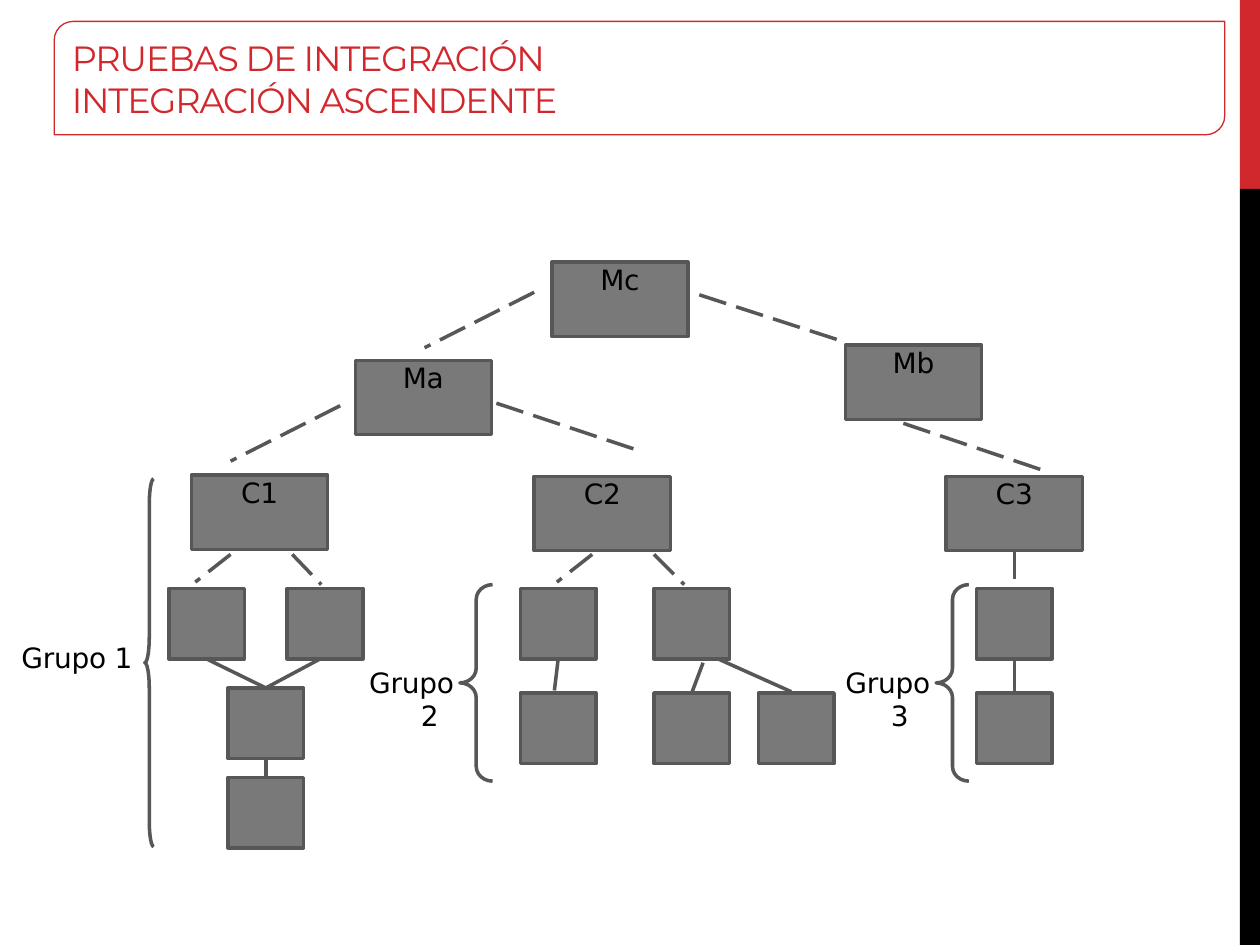
from math import dist
from lxml.etree import SubElement
from pptx import Presentation
from pptx.dml.color import RGBColor
from pptx.enum.dml import MSO_LINE
from pptx.enum.shapes import MSO_CONNECTOR, MSO_SHAPE
from pptx.enum.text import MSO_ANCHOR, PP_ALIGN
from pptx.oxml.ns import qn
from pptx.util import Inches, Pt

theme = dict(red="D1282D", black="000000", gray="797979", edge="575757",
             head="Montserrat", body="DejaVu Sans", big=20, text=16,
             thin=0.75, thick=2)

title = "PRUEBAS DE INTEGRACIÓN INTEGRACIÓN ASCENDENTE"
bars = [(0, 1.5, "red"), (1.5, 6, "black")]
nodes = [("Mc", 4.38, 2.08), ("Ma", 2.82, 2.86), ("Mb", 6.71, 2.74),
         ("C1", 1.52, 3.77), ("C2", 4.24, 3.78), ("C3", 7.51, 3.78)]
rows = {4.67: [1.34, 2.28, 4.13, 5.19, 7.75],
        5.5: [4.13, 5.19, 6.02, 7.75],
        5.46: [1.81],
        6.17: [1.81]}
dashed = [(4.24, 2.32, 3.37, 2.76), (5.55, 2.34, 6.66, 2.7),
          (2.7, 3.22, 1.83, 3.66), (3.94, 3.2, 5.05, 3.57),
          (7.17, 3.36, 8.27, 3.73), (1.83, 4.4, 1.55, 4.62),
          (4.7, 4.4, 4.42, 4.62), (8.05, 4.4, 8.05, 4.67),
          (2.32, 4.4, 2.55, 4.64), (5.19, 4.4, 5.43, 4.64)]
solid = [(1.66, 5.23, 2.1, 5.43), (2.54, 5.23, 2.1, 5.43),
         (2.08, 6.01, 2.12, 6.16), (4.4, 5.24, 4.4, 5.48),
         (5.58, 5.26, 5.48, 5.48), (5.7, 5.23, 6.28, 5.49),
         (8.05, 5.23, 8.05, 5.49)]
braces = [(1.15, 3.8, 0.07, 2.92, 2.9), (3.65, 4.64, 0.26, 1.56, 0.45),
          (7.43, 4.64, 0.26, 1.56, 0.45)]
groups = [(0.16, 5.08, 0.98, 0.25, [("Grupo 1", 0.01)]),
          (2.92, 5.28, 0.75, 0.52, [("Grupo", 0.01), ("2", 0.42)]),
          (6.7, 5.28, 0.75, 0.52, [("Grupo", 0.01), ("3", 0.37)])]
wide, high = 1.08, 0.59
side, tall = 0.6, 0.56
near = 0.035

deck = Presentation()
deck.slide_width, deck.slide_height = Inches(10), Inches(7.5)
slide = deck.slides.add_slide(deck.slide_layouts[6])
shapes = slide.shapes
ports = []


def color(name):
    return RGBColor.from_string(theme[name])


def write(shape, lines, font="body", size="text", tint="black",
          align=PP_ALIGN.LEFT, gap=-0.1):
    frame = shape.text_frame
    frame.word_wrap = True
    frame.vertical_anchor = MSO_ANCHOR.TOP
    frame.margin_left = frame.margin_right = 0
    frame.margin_top = frame.margin_bottom = 0
    for i, (text, dent) in enumerate(lines):
        para = frame.add_paragraph() if i else frame.paragraphs[0]
        para.alignment = align
        if dent:
            props = para._p.get_or_add_pPr()
            props.set("marL", str(Inches(dent)))
            props.set("indent", "0")
        run = para.add_run()
        run.text = text
        run.font.name = theme[font]
        run.font.size = Pt(theme[size])
        run.font.color.rgb = color(tint)
        run._r.get_or_add_rPr().set("spc", str(round(gap * 100)))


def draw(kind, x, y, w, h, fill=None, line=None, width="thick"):
    shape = shapes.add_shape(kind, Inches(x), Inches(y), Inches(w), Inches(h))
    shape.shadow.inherit = False
    if fill:
        shape.fill.solid()
        shape.fill.fore_color.rgb = color(fill)
    else:
        shape.fill.background()
    if line:
        shape.line.color.rgb = color(line)
        shape.line.width = Pt(theme[width])
    else:
        shape.line.fill.background()
    return shape


def box(x, y, w, h):
    shape = draw(MSO_SHAPE.RECTANGLE, x, y, w, h, "gray", "edge")
    mids = [(x + w / 2, y), (x, y + h / 2), (x + w / 2, y + h), (x + w, y + h / 2)]
    ports.extend((mid, shape, i) for i, mid in enumerate(mids))
    return shape


def link(x1, y1, x2, y2, dash=None):
    line = shapes.add_connector(MSO_CONNECTOR.STRAIGHT, Inches(x1), Inches(y1),
                                Inches(x2), Inches(y2))
    line.line.color.rgb = color("edge")
    line.line.width = Pt(theme["thick"])
    if dash:
        line.line.dash_style = dash
    SubElement(line._element.spPr, qn("a:effectLst"))
    for end, join in (((x1, y1), line.begin_connect), ((x2, y2), line.end_connect)):
        for mid, shape, i in ports:
            if dist(end, mid) < near:
                join(shape, i)


def label(x, y, w, h, lines, **style):
    area = shapes.add_textbox(Inches(x), Inches(y), Inches(w), Inches(h))
    write(area, lines, **style)


for y, h, fill in bars:
    draw(MSO_SHAPE.RECTANGLE, 9.84, y, 0.16, h, fill)
draw(MSO_SHAPE.ROUND_2_DIAG_RECTANGLE, 0.43, 0.17, 9.29, 0.9, line="red", width="thin")
label(0.56, 0.29, 4.25, 0.64, [(title, 0.01)],
      font="head", size="big", tint="red", gap=-0.7)
for name, x, y in nodes:
    write(box(x, y, wide, high), [(name, 0)], align=PP_ALIGN.CENTER)
for y, lefts in rows.items():
    for x in lefts:
        box(x, y, side, tall)
for *place, bend in braces:
    brace = draw(MSO_SHAPE.LEFT_BRACE, *place, line="edge")
    brace.adjustments[0] = bend
for group in groups:
    label(*group)
for ends in dashed:
    link(*ends, dash=MSO_LINE.LONG_DASH)
for ends in solid:
    link(*ends)

deck.save("out.pptx")
